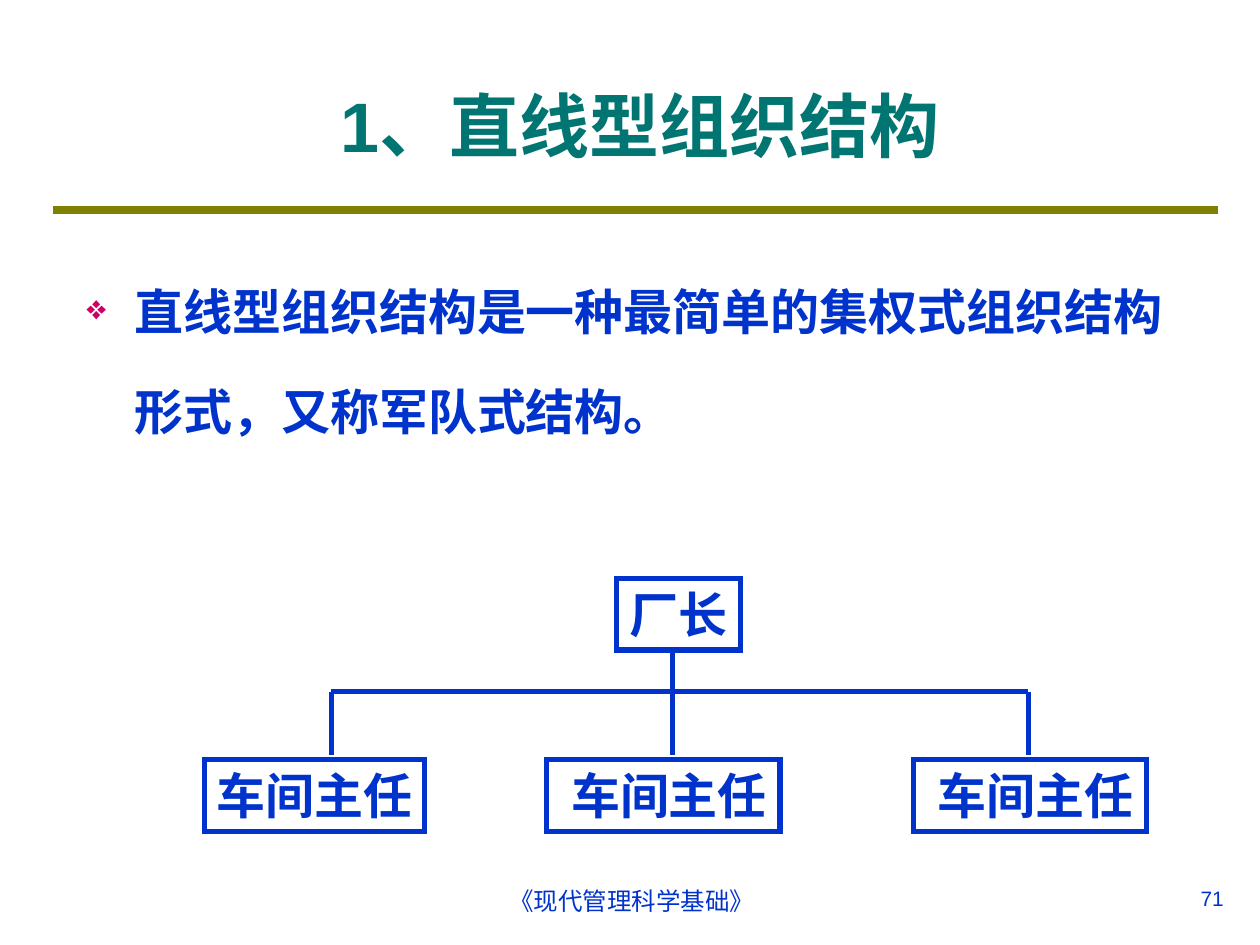
import pptx
import pptx.util
import pptx.dml.color
import pptx.enum.shapes
import pptx.enum.text
import pptx.oxml
import pptx.oxml.ns
from pptx.util import Inches

COLORS = {"title": "007572", "blue": "0033CC", "rule": "808000", "bullet": "CC0066"}
FONT = "Arial"
ALIGN = pptx.enum.text.PP_ALIGN
ANCHOR = pptx.enum.text.MSO_ANCHOR
AUTO_SIZE = pptx.enum.text.MSO_AUTO_SIZE


def rgb(name):
    return pptx.dml.color.RGBColor.from_string(COLORS[name])


def append_xml(parent, tag, attributes="", content=""):
    namespace = pptx.oxml.ns.nsdecls("a")
    parent.append(pptx.oxml.parse_xml(
        f"<a:{tag} {namespace} {attributes}>{content}</a:{tag}>"))


def write(shape, text, size, color="blue", bold=False, align=ALIGN.CENTER):
    para = shape.text_frame.paragraphs[0]
    para.add_run().text = text
    para.alignment = align
    para.font.name = FONT
    para.font.size = pptx.util.Pt(size)
    para.font.bold = bold
    para.font.color.rgb = rgb(color)


def add_title(page, text, left, top, width, height):
    title = page.shapes.title
    title.left, title.top = Inches(left), Inches(top)
    title.width, title.height = Inches(width), Inches(height)
    title.text_frame.vertical_anchor = ANCHOR.MIDDLE
    write(title, text, 40, "title", True)


def add_box(page, left, top, width, height):
    box = page.shapes.add_textbox(Inches(left), Inches(top), Inches(width), Inches(height))
    box.text_frame.word_wrap = True
    return box


def add_bullet_text(page, text, left, top, width, height):
    box = add_box(page, left, top, width, height)
    para = box.text_frame.paragraphs[0]
    para.line_spacing = 1.7
    props = para._p.get_or_add_pPr()
    props.set("marL", str(Inches(0.38)))
    props.set("indent", str(-Inches(0.38)))
    append_xml(props, "buClr", content=f'<a:srgbClr val="{COLORS["bullet"]}"/>')
    append_xml(props, "buSzPct", 'val="70000"')
    append_xml(props, "buChar", 'char="❖"')
    write(box, text, 28, bold=True, align=ALIGN.LEFT)


def add_line(page, x1, y1, x2, y2, color="blue", width=3):
    line = page.shapes.add_connector(
        pptx.enum.shapes.MSO_CONNECTOR.STRAIGHT,
        Inches(x1), Inches(y1), Inches(x2), Inches(y2))
    line.line.color.rgb = rgb(color)
    line.line.width = pptx.util.Pt(width)
    append_xml(line._element.spPr, "effectLst")


def add_post(page, text, left, top, width, height=0.57):
    post = page.shapes.add_shape(
        pptx.enum.shapes.MSO_SHAPE.RECTANGLE,
        Inches(left), Inches(top), Inches(width), Inches(height))
    post.shadow.inherit = False
    post.fill.background()
    post.line.color.rgb = rgb("blue")
    post.line.width = pptx.util.Pt(3)
    append_xml(post.line._get_or_add_ln(), "miter", 'lim="800000"')
    frame = post.text_frame
    frame.word_wrap = False
    frame.auto_size = AUTO_SIZE.SHAPE_TO_FIT_TEXT
    frame.vertical_anchor = ANCHOR.TOP
    write(post, text, 28, bold=True)


def add_organisation_chart(page):
    bus, branch_end = 5.49, 5.99
    left, middle, right = 2.63, 5.34, 8.16
    # Branches
    add_line(page, left, bus, right, bus)
    for x, start in ((left, bus), (middle, 5.15), (right, bus)):
        add_line(page, x, start, x, branch_end)
    # Posts
    add_post(page, "厂长", 4.89, 4.59, 0.99)
    for text, x, width in (("车间主任", 1.62, 1.75),
                           (" 车间主任", 4.34, 1.85),
                           (" 车间主任", 7.25, 1.85)):
        add_post(page, text, x, 6.03, width)


def main():
    deck = pptx.Presentation()
    deck.slide_width, deck.slide_height = Inches(10), Inches(7.5)
    page = deck.slides.add_slide(deck.slide_layouts[5])

    # Rule and footer
    add_line(page, 0.42, 1.67, 9.67, 1.67, "rule", 4.5)
    write(add_box(page, 3.43, 6.98, 3.17, 0.52), "《现代管理科学基础》", 14)
    write(add_box(page, 8.47, 6.98, 1.34, 0.31), "71", 11.9, align=ALIGN.RIGHT)

    # Title and definition
    add_title(page, "1、直线型组织结构", 0.59, 0.36, 8.98, 1.25)
    add_bullet_text(page, "直线型组织结构是一种最简单的集权式组织结构形式，又称军队式结构。",
                    0.59, 1.86, 8.9, 2.19)

    add_organisation_chart(page)
    deck.save("out.pptx")


if __name__ == "__main__":
    main()
